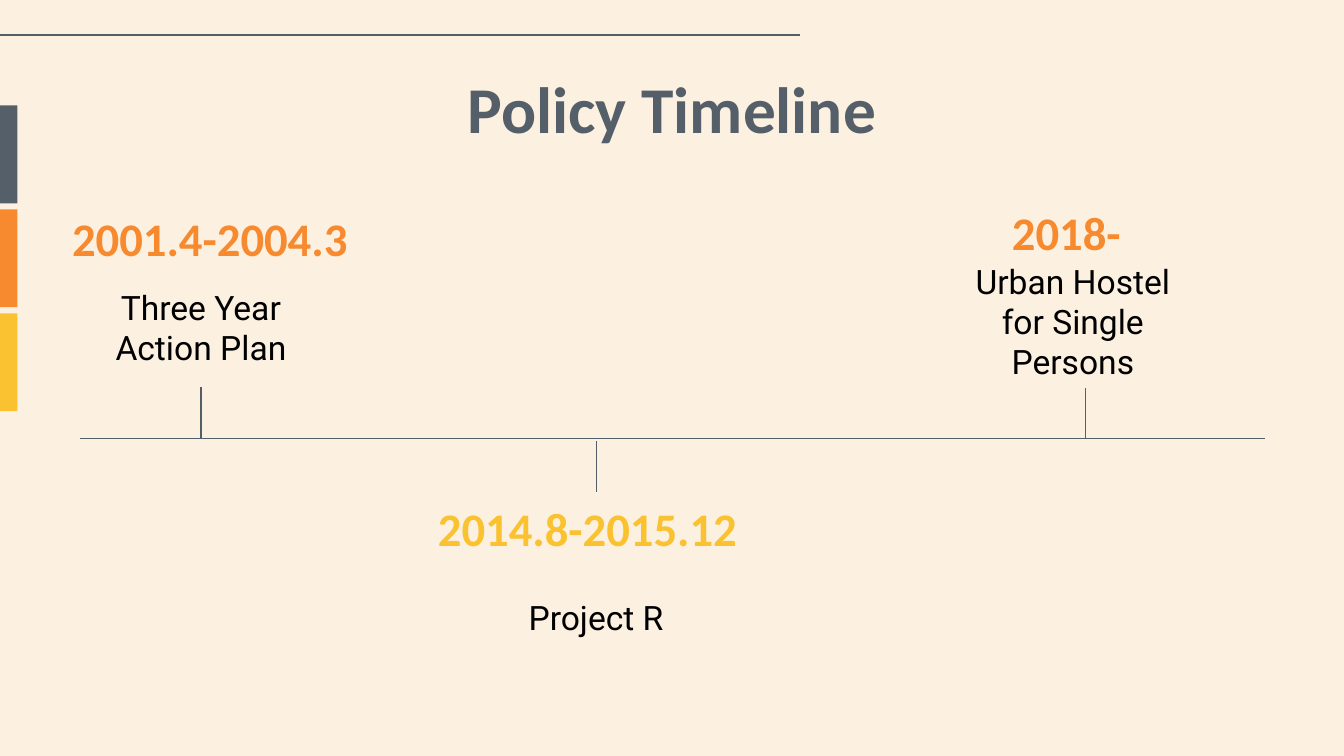
from pptx import Presentation
from pptx.dml.color import RGBColor
from pptx.enum.shapes import MSO_CONNECTOR, MSO_SHAPE
from pptx.enum.text import MSO_ANCHOR, PP_ALIGN
from pptx.oxml.ns import qn
from pptx.util import Inches, Pt
from lxml import etree

RECT = MSO_SHAPE.RECTANGLE
STRAIGHT = MSO_CONNECTOR.STRAIGHT
MIDDLE = MSO_ANCHOR.MIDDLE
CENTER = PP_ALIGN.CENTER
BOTTOM_SIDE = 2

COLORS = {"paper": "FCF1E1", "slate": "555F69", "orange": "F7892F",
          "yellow": "FAC231", "black": "000000"}
# Grid: 100 columns by 56.25 rows, each a tenth of an inch.
CELL = Inches(0.1)
COLUMNS, ROWS = 100, 56.25
INSET = 1
DATE_ROWS, STEM_ROWS = 4.3, 3.8

TITLE = {"name": "Calibri", "size": Pt(35), "bold": True}
DATE = {"name": "Calibri", "size": Pt(25), "bold": True}
BODY = {"name": "Roboto", "size": Pt(18), "bold": False}

# Date, description, colour, box, extra columns for the date (left, right),
# stem column, stem top
MILESTONES = [
    ("2001.4-2004.3", "Three Year Action Plan", "orange",
     (5.9, 15.53, 18.1, 13.3), (2.9, 5.2), 14.95, 28.83),
    ("2014.8-2015.12", "Project R", "yellow",
     (35.3, 37.15, 18.1, 13.2), (9.2, 8.9), 44.4, 32.8),
    ("2018-", "Urban Hostel for Single Persons", "orange",
     (70.73, 15.1, 18.2, 13.3), (0, 0), 80.77, 28.85),
]


def grid(*cells):
    return [round(c * CELL) for c in cells]


def rgb(name):
    return RGBColor.from_string(COLORS[name])


def add_text(slide, box, text, style, color, left_inset=INSET):
    sp = slide.shapes.add_textbox(*grid(*box))
    tf = sp.text_frame
    frame = {"word_wrap": True, "vertical_anchor": MIDDLE,
             "margin_left": left_inset * CELL, "margin_right": INSET * CELL,
             "margin_top": INSET * CELL, "margin_bottom": INSET * CELL}
    for key, value in frame.items():
        setattr(tf, key, value)
    p = tf.paragraphs[0]
    p.alignment = CENTER
    r = p.add_run()
    r.text = text
    for key, value in style.items():
        setattr(r.font, key, value)
    r.font.color.rgb = rgb(color)
    return sp


def add_line(slide, x1, y1, x2, y2):
    line = slide.shapes.add_connector(STRAIGHT, *grid(x1, y1, x2, y2))
    line.line.color.rgb = rgb("slate")
    line.line.width = Pt(0.75)
    etree.SubElement(line._element.spPr, qn("a:effectLst"))
    return line


def add_side_tabs(slide, box, gap=0.45):
    """Stack the three colour tabs evenly in the box."""
    x, y, w, h = box
    names = ("slate", "orange", "yellow")
    tab_h = (h - gap * (len(names) - 1)) / len(names)
    for i, name in enumerate(names):
        sp = slide.shapes.add_shape(RECT, *grid(x, y + i * (tab_h + gap), w, tab_h))
        sp.shadow.inherit = False
        sp.fill.solid()
        sp.fill.fore_color.rgb = rgb(name)
        sp.line.fill.background()


def add_milestone(slide, box, date, text, color, extra, stem_x, stem_y):
    """Put the date over its description and draw the stem to the axis."""
    x, y, w, h = box
    left, right = extra
    add_text(slide, (x - left, y, w + left + right, DATE_ROWS), date, DATE,
             color, left_inset=0)
    body = add_text(slide, (x, y + DATE_ROWS, w, h - DATE_ROWS), text, BODY, "black")
    stem = add_line(slide, stem_x, stem_y, stem_x, stem_y + STEM_ROWS)
    joins_body = abs(stem_x - x - w / 2) < 0.1 and abs(stem_y - y - h) < 0.1
    if joins_body:
        stem.begin_connect(body, BOTTOM_SIDE)


def add_timeline(slide, x, y, w):
    """Draw the axis and its milestones."""
    add_line(slide, x, y, x + w, y)
    for date, text, color, place, extra, stem_x, stem_y in MILESTONES:
        add_milestone(slide, place, date, text, color, extra, stem_x, stem_y)


def main():
    prs = Presentation()
    prs.slide_width, prs.slide_height = grid(COLUMNS, ROWS)
    slide = prs.slides.add_slide(prs.slide_layouts[6])
    fill = slide.background.fill
    fill.solid()
    fill.fore_color.rgb = rgb("paper")
    add_line(slide, 0, 2.6, 59.5, 2.6)
    add_side_tabs(slide, (0, 7.85, 1.3, 22.75))
    add_text(slide, (5.9, 4.85, 88.2, 6.3), "Policy Timeline", TITLE, "slate")
    add_timeline(slide, 5.97, 32.63, 88.13)
    prs.save("out.pptx")


if __name__ == "__main__":
    main()
